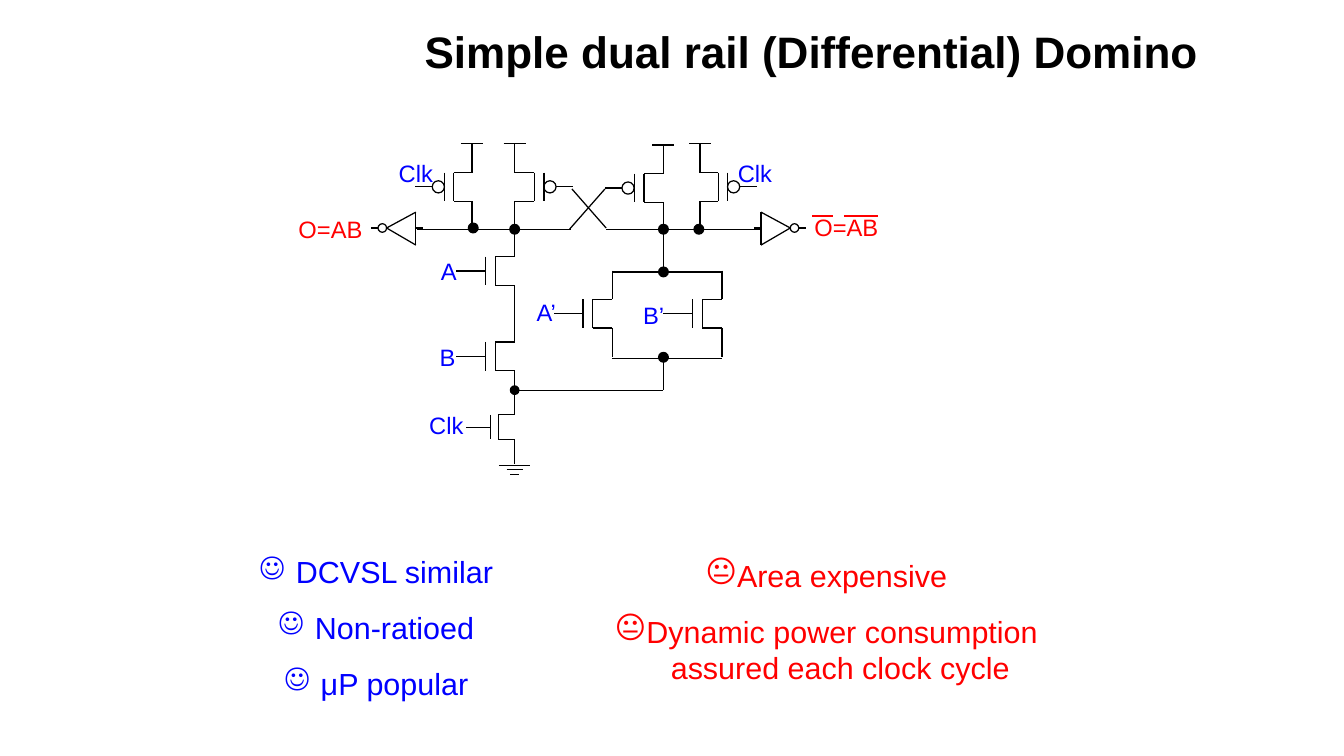
"""Build a slide showing a dual rail domino gate with its benefits and costs."""
from dataclasses import dataclass

from lxml.etree import SubElement
from pptx import Presentation
from pptx.dml.color import RGBColor
from pptx.enum.shapes import MSO_CONNECTOR, MSO_SHAPE
from pptx.enum.text import MSO_ANCHOR, PP_ALIGN
from pptx.oxml.ns import qn
from pptx.util import Inches, Pt


@dataclass(frozen=True)
class Theme:
    font: str = "Arial"
    black: str = "000000"
    blue: str = "0000FF"
    red: str = "FF0000"
    title_size: float = 26
    list_size: float = 18
    label_size: float = 14
    wire: float = 0.75
    overbar: float = 1.5


THEME = Theme()
TITLE = "Simple dual rail (Differential) Domino"
# x, top, gate side, width scale, height scale
NMOS = [
    (4.22, 1.87, -1, 1, 1),
    (4.22, 2.57, -1, 1, 1),
    (5.02, 2.22, -1, 1, 1),
    (5.92, 2.22, -1, 1, 1),
    (4.22, 3.2, -1, 0.83, 0.86),
]
PMOS = [
    (3.87, 1.18, -1, 0.94, 1),
    (4.22, 1.18, 1, 1, 1),
    (5.44, 1.19, -1, 1, 1),
    (5.74, 1.18, 1, 0.94, 1),
]
INVERTERS = [(3.41, -1), (6.24, 1)]
WIRES = [
    (3.42, 1.88, 4.68, 1.88),
    (4.97, 1.88, 6.23, 1.88),
    (4.96, 1.55, 4.67, 1.88),
    (4.69, 1.55, 4.97, 1.87),
    (5.44, 1.88, 5.44, 2.24),
    (5.02, 2.23, 5.92, 2.23),
    (5.02, 2.94, 5.92, 2.94),
    (5.44, 2.94, 5.44, 3.2),
    (4.22, 3.2, 5.44, 3.2),
]
GROUND = [(3.82, 0.13), (3.85, 0.065), (3.89, 0.035)]
OVERBARS = [(6.66, 1.77, 6.83, 1.77), (6.92, 1.77, 7.2, 1.77)]
JUNCTIONS = [(3.88, 1.87, 0.08), (4.22, 1.88, 0.08), (5.44, 1.88, 0.08), (5.73, 1.88, 0.08),
             (5.44, 2.23, 0.08), (5.44, 2.93, 0.08), (4.22, 3.2, 0.07)]
LABELS = [
    ("O=AB", 2.71, 1.71, THEME.red),
    ("O=AB", 6.94, 1.7, THEME.red),
    ("Clk", 3.41, 1.25, THEME.blue),
    ("Clk", 6.19, 1.25, THEME.blue),
    ("A", 3.68, 2.06, THEME.blue),
    ("B", 3.67, 2.76, THEME.blue),
    ("A’", 4.48, 2.39, THEME.blue),
    ("B’", 5.36, 2.42, THEME.blue),
    ("Clk", 3.66, 3.32, THEME.blue),
]
LISTS = [
    ((1.79, 4.49, 2.59, 1.32), "☺", THEME.blue,
     [" DCVSL similar", " Non-ratioed", " μP popular"]),
    ((4.82, 4.52, 3.91, 1.16), "😐", THEME.red,
     ["Area expensive", "Dynamic power consumption assured each clock cycle"]),
]


def add_line(slide, ends, color=THEME.black, weight=THEME.wire):
    line = slide.shapes.add_connector(MSO_CONNECTOR.STRAIGHT, *map(Inches, ends))
    line.line.color.rgb = RGBColor.from_string(color)
    line.line.width = Pt(weight)
    SubElement(line._element.spPr, qn("a:effectLst"))


def add_circle(slide, x, y, size, filled=False):
    box = (x - size / 2, y - size / 2, size, size)
    circle = slide.shapes.add_shape(MSO_SHAPE.OVAL, *map(Inches, box))
    circle.shadow.inherit = False
    circle.line.color.rgb = RGBColor.from_string(THEME.black)
    circle.line.width = Pt(THEME.wire)
    if filled:
        circle.fill.solid()
        circle.fill.fore_color.rgb = RGBColor.from_string(THEME.black)
    else:
        circle.fill.background()


def add_transistor(slide, x, top, side, wide, high, inverted):
    third = 0.235 * high
    upper, lower = top + third, top + 2 * third
    channel, gate = x + side * 0.16 * wide, x + side * 0.24 * wide
    middle = (upper + lower) / 2
    bubble = 0.1 if inverted else 0
    lead = 0.14 if inverted else 0.24 * wide
    lead_start = gate + side * bubble
    for ends in [
        (x, top, x, upper),
        (x, upper, channel, upper),
        (channel, upper, channel, lower),
        (x, lower, channel, lower),
        (x, lower, x, lower + third),
        (gate, upper, gate, lower),
        (lead_start, middle, lead_start + side * lead, middle),
    ]:
        add_line(slide, ends)
    if inverted:
        add_circle(slide, gate + side * bubble / 2, middle, bubble)
        add_line(slide, (x - 0.09, top, x + 0.09, top))


def add_inverter(slide, base, side):
    tip, middle, bubble = base + side * 0.24, 1.87, 0.07
    out = tip + side * bubble
    for ends in [
        (base, 1.74, base, 2.01),
        (base, 1.74, tip, middle),
        (base, 2.01, tip, middle),
        (base, middle, base - side * 0.06, middle),
        (out, middle, out + side * 0.06, middle),
    ]:
        add_line(slide, ends)
    add_circle(slide, tip + side * bubble / 2, middle, bubble)


def add_bullet(paragraph, symbol, color):
    properties = paragraph._p.get_or_add_pPr()
    properties.set("marL", str(Inches(0.23)))
    properties.set("indent", str(-Inches(0.23)))
    bullet_color = SubElement(properties, qn("a:buClr"))
    SubElement(bullet_color, qn("a:srgbClr"), val=color)
    SubElement(properties, qn("a:buChar"), char=symbol)


def add_text(slide, box, lines, size, color, align=PP_ALIGN.CENTER, bold=False, bullet=None):
    frame = slide.shapes.add_textbox(*map(Inches, box)).text_frame
    frame.word_wrap = True
    for index, line in enumerate(lines):
        paragraph = frame.paragraphs[0] if index == 0 else frame.add_paragraph()
        if bullet:
            add_bullet(paragraph, bullet, color)
        paragraph.alignment = align
        if index:
            paragraph.space_before = Pt(11.2)
        run = paragraph.add_run()
        run.text = line
        run.font.name = THEME.font
        run.font.size = Pt(size)
        run.font.bold = bold
        run.font.color.rgb = RGBColor.from_string(color)
    return frame


def main():
    presentation = Presentation()
    presentation.slide_width, presentation.slide_height = Inches(11.02), Inches(6.2)
    slide = presentation.slides.add_slide(presentation.slide_layouts[6])

    title = add_text(slide, (0, 0.07, 9.93, 0.77), [TITLE], THEME.title_size,
                     THEME.black, PP_ALIGN.RIGHT, bold=True)
    title.vertical_anchor = MSO_ANCHOR.MIDDLE
    title.paragraphs[0].line_spacing = 0.85

    for transistors, inverted in [(NMOS, False), (PMOS, True)]:
        for transistor in transistors:
            add_transistor(slide, *transistor, inverted)
    for inverter in INVERTERS:
        add_inverter(slide, *inverter)
    for wire in WIRES:
        add_line(slide, wire)
    for y, half in GROUND:
        add_line(slide, (4.22 - half, y, 4.22 + half, y))
    for junction in JUNCTIONS:
        add_circle(slide, *junction, filled=True)
    for text, center, top, color in LABELS:
        add_text(slide, (center - 0.37, top, 0.74, 0.34), [text], THEME.label_size, color)
    for overbar in OVERBARS:
        add_line(slide, overbar, THEME.red, THEME.overbar)
    for box, symbol, color, lines in LISTS:
        add_text(slide, box, lines, THEME.list_size, color, bullet=symbol)

    presentation.save("out.pptx")


if __name__ == "__main__":
    main()
